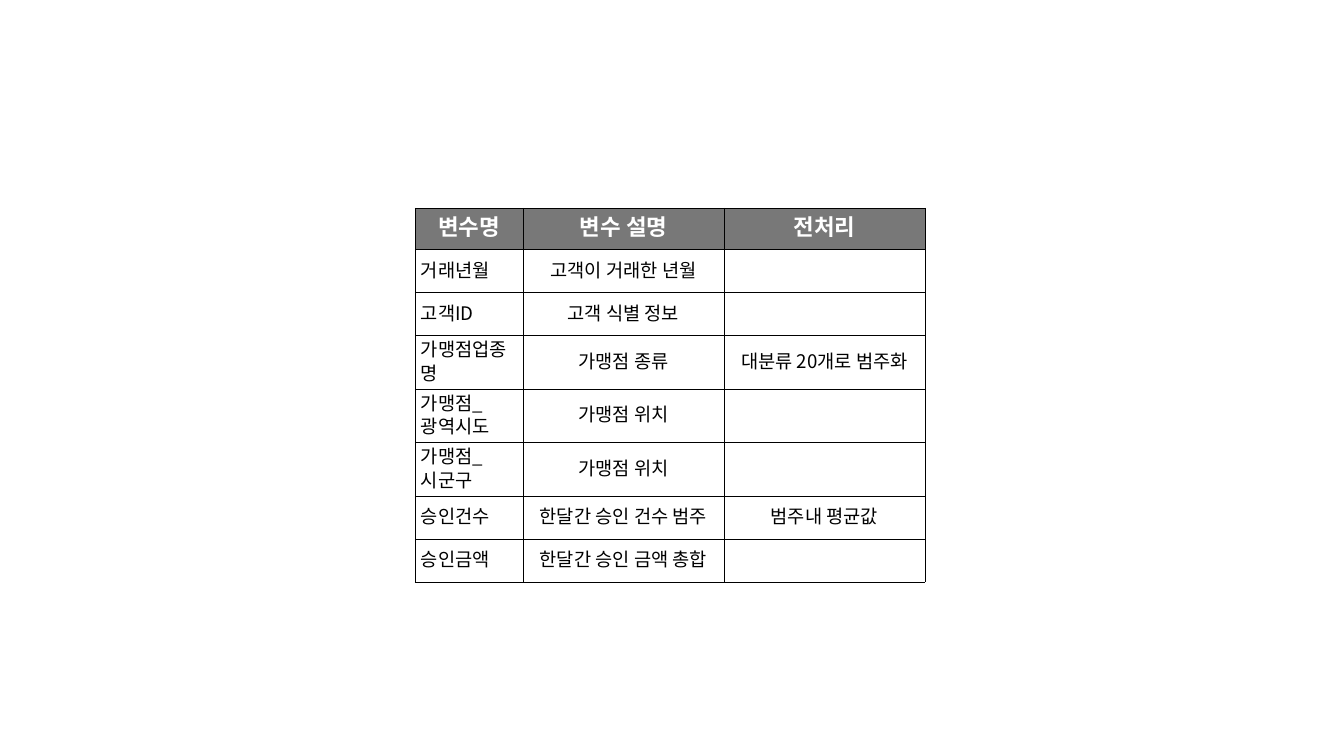
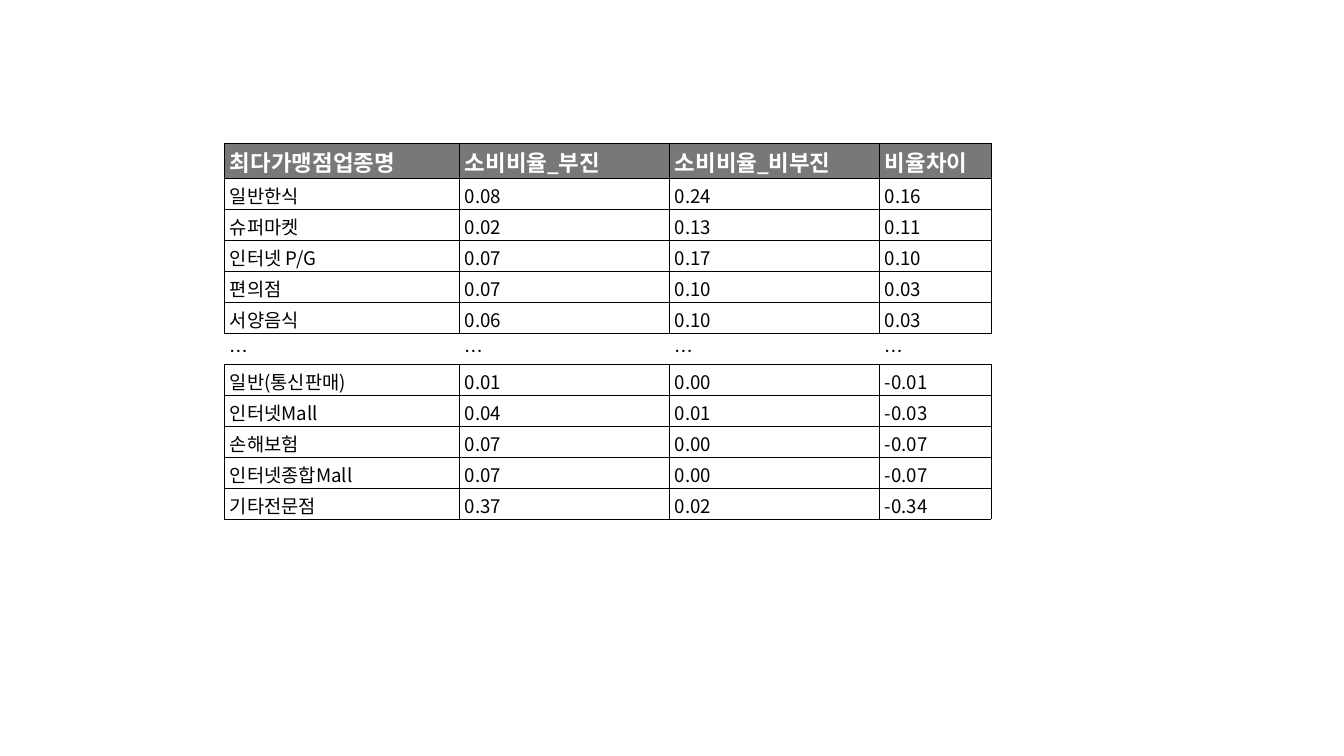
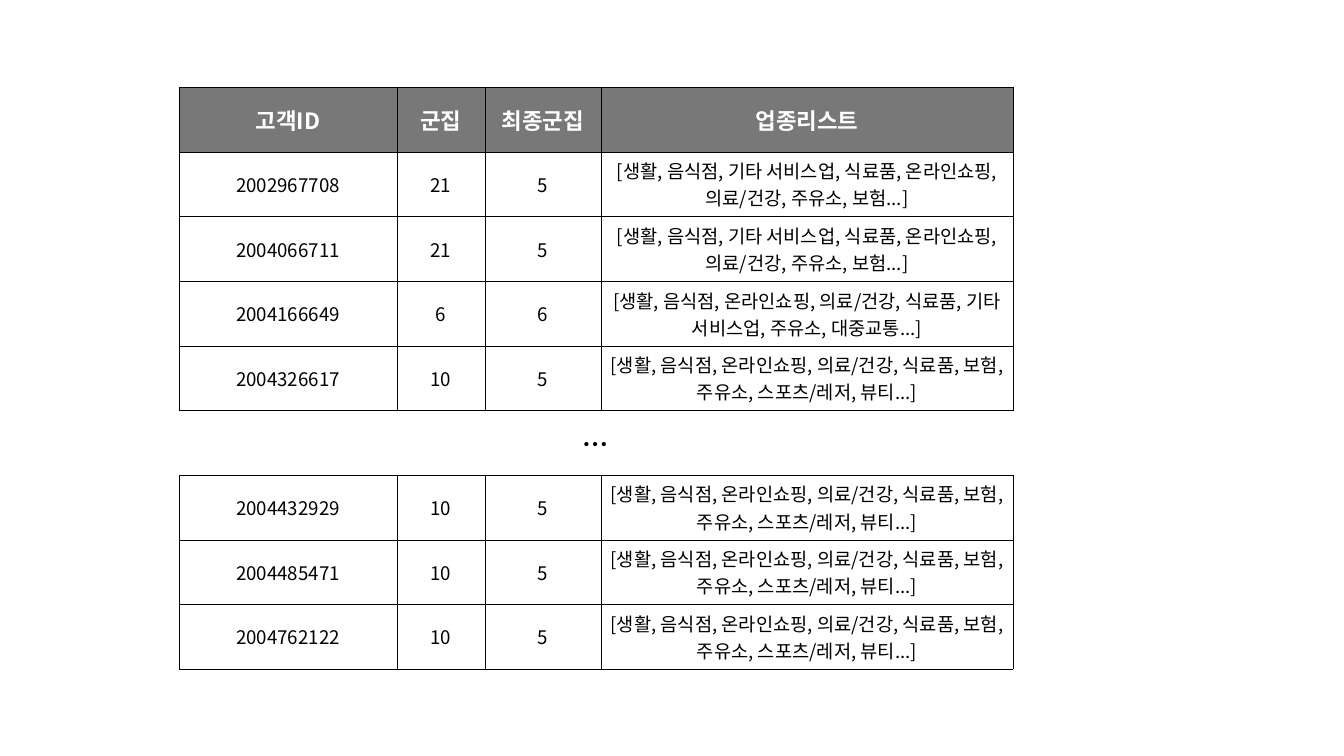
from lxml.etree import SubElement
from pptx import Presentation
from pptx.dml.color import RGBColor
from pptx.enum.text import MSO_ANCHOR, PP_ALIGN
from pptx.oxml.ns import qn
from pptx.util import Inches, Pt

HEADER_GREY = RGBColor(0x78, 0x78, 0x78)
WHITE = RGBColor(0xFF, 0xFF, 0xFF)
BLACK = RGBColor(0x00, 0x00, 0x00)
KOREAN_FONT = "Noto Sans CJK KR"
ELLIPSIS = "…"
SLIDE_WIDTH, SLIDE_HEIGHT = 1344, 756
PX = Inches(20) / SLIDE_WIDTH
SIDE_MARGIN, TOP_MARGIN = 6, 3
BORDER_WIDTH = Pt(0.25)

SHOPPING_LIST = "[생활, 음식점, 기타 서비스업, 식료품, 온라인쇼핑, 의료/건강, 주유소, 보험...]"
TRANSIT_LIST = "[생활, 음식점, 온라인쇼핑, 의료/건강, 식료품, 기타 서비스업, 주유소, 대중교통...]"
LEISURE_LIST = "[생활, 음식점, 온라인쇼핑, 의료/건강, 식료품, 보험, 주유소, 스포츠/레저, 뷰티...]"

VARIABLES = dict(
    left=415, top=208, columns=(108, 201, 201), header_height=41, height=342,
    aligns=(PP_ALIGN.LEFT, PP_ALIGN.CENTER, PP_ALIGN.CENTER),
    header_spacing=Pt(30), body_spacing=Pt(25.5),
    rows=[
        ("변수명", "변수 설명", "전처리"),
        ("거래년월", "고객이 거래한 년월", ""),
        ("고객ID", "고객 식별 정보", ""),
        ("가맹점업종명", "가맹점 종류", "대분류 20개로 범주화"),
        ("가맹점_광역시도", "가맹점 위치", ""),
        ("가맹점_시군구", "가맹점 위치", ""),
        ("승인건수", "한달간 승인 건수 범주", "범주내 평균값"),
        ("승인금액", "한달간 승인 금액 총합", ""),
    ],
)
SPENDING_RATIOS = dict(
    left=224, top=143, columns=(235, 210, 210, 112), header_height=35, height=376,
    aligns=(PP_ALIGN.LEFT,) * 4, header_align=PP_ALIGN.LEFT,
    anchor=MSO_ANCHOR.TOP, bottom_margin=0, header_font="Calibri",
    rows=[
        ("최다가맹점업종명", "소비비율_부진", "소비비율_비부진", "비율차이"),
        ("일반한식", "0.08", "0.24", "0.16"),
        ("슈퍼마켓", "0.02", "0.13", "0.11"),
        ("인터넷 P/G", "0.07", "0.17", "0.10"),
        ("편의점", "0.07", "0.10", "0.03"),
        ("서양음식", "0.06", "0.10", "0.03"),
        (ELLIPSIS,) * 4,
        ("일반(통신판매)", "0.01", "0.00", "-0.01"),
        ("인터넷Mall", "0.04", "0.01", "-0.03"),
        ("손해보험", "0.07", "0.00", "-0.07"),
        ("인터넷종합Mall", "0.07", "0.00", "-0.07"),
        ("기타전문점", "0.37", "0.02", "-0.34"),
    ],
)
CUSTOMER_CLUSTERS = dict(
    left=179, top=87, columns=(218, 88, 116, 412), header_height=65, height=582,
    aligns=(PP_ALIGN.CENTER,) * 4,
    rows=[
        ("고객ID", "군집", "최종군집", "업종리스트"),
        ("2002967708", "21", "5", SHOPPING_LIST),
        ("2004066711", "21", "5", SHOPPING_LIST),
        ("2004166649", "6", "6", TRANSIT_LIST),
        ("2004326617", "10", "5", LEISURE_LIST),
        (ELLIPSIS,),
        ("2004432929", "10", "5", LEISURE_LIST),
        ("2004485471", "10", "5", LEISURE_LIST),
        ("2004762122", "10", "5", LEISURE_LIST),
    ],
)


def px(length):
    return round(length * PX)


def write(cell, text, size=20, bold=False, color=BLACK, font=KOREAN_FONT,
          align=PP_ALIGN.LEFT, spacing=None):
    paragraph = cell.text_frame.paragraphs[0]
    paragraph.alignment = align
    paragraph.line_spacing = spacing
    run = paragraph.add_run()
    run.text = text
    run.font.size = Pt(size)
    run.font.bold = bold
    run.font.name = font
    run.font.color.rgb = color
    SubElement(run.font._element, qn("a:ea"), typeface=KOREAN_FONT)


def draw_borders(cell, drawn_sides):
    """Line the named sides and clear the others; borders precede the fill."""
    properties = cell._tc.get_or_add_tcPr()
    for position, side in enumerate("LRTB"):
        line = properties.makeelement(qn(f"a:ln{side}"), {"w": str(BORDER_WIDTH)})
        properties.insert(position, line)
        if side in drawn_sides:
            fill = SubElement(line, qn("a:solidFill"))
            SubElement(fill, qn("a:srgbClr"), val=str(BLACK))
        else:
            SubElement(line, qn("a:noFill"))


def add_data_table(slide, left, top, columns, header_height, height, aligns, rows,
                   header_align=PP_ALIGN.CENTER, anchor=MSO_ANCHOR.MIDDLE,
                   bottom_margin=TOP_MARGIN, header_font=KOREAN_FONT,
                   header_spacing=None, body_spacing=None):
    table = slide.shapes.add_table(len(rows), len(columns), px(left), px(top),
                                   px(sum(columns)), px(height)).table
    table.first_row = table.horz_banding = False
    for column, width in zip(table.columns, columns):
        column.width = px(width)
    body_height = (height - header_height) / (len(rows) - 1)

    for row_index, values in enumerate(rows):
        is_header = row_index == 0
        is_gap = values[0] == ELLIPSIS
        is_merged = len(values) == 1
        table.rows[row_index].height = px(header_height if is_header else body_height)
        for column_index in range(len(columns)):
            cell = table.cell(row_index, column_index)
            cell.fill.solid()
            cell.fill.fore_color.rgb = HEADER_GREY if is_header else WHITE
            draw_borders(cell, "TB" if is_gap else "LRTB")
            cell.vertical_anchor = anchor
            cell.margin_left = cell.margin_right = px(SIDE_MARGIN)
            cell.margin_top, cell.margin_bottom = px(TOP_MARGIN), px(bottom_margin)
        if is_merged:
            table.cell(row_index, 0).merge(table.cell(row_index, len(columns) - 1))

        for column_index, value in enumerate(values):
            cell = table.cell(row_index, column_index)
            if is_header:
                write(cell, value, size=24, bold=True, color=WHITE, font=header_font,
                      align=header_align, spacing=header_spacing)
            elif value:
                write(cell, value, size=28 if is_merged else 20, bold=is_merged,
                      align=aligns[column_index], spacing=body_spacing)


def main():
    presentation = Presentation()
    presentation.slide_width = px(SLIDE_WIDTH)
    presentation.slide_height = px(SLIDE_HEIGHT)
    blank_layout = presentation.slide_layouts[6]
    for content in (VARIABLES, SPENDING_RATIOS, CUSTOMER_CLUSTERS):
        add_data_table(presentation.slides.add_slide(blank_layout), **content)
    presentation.save("out.pptx")


if __name__ == "__main__":
    main()
